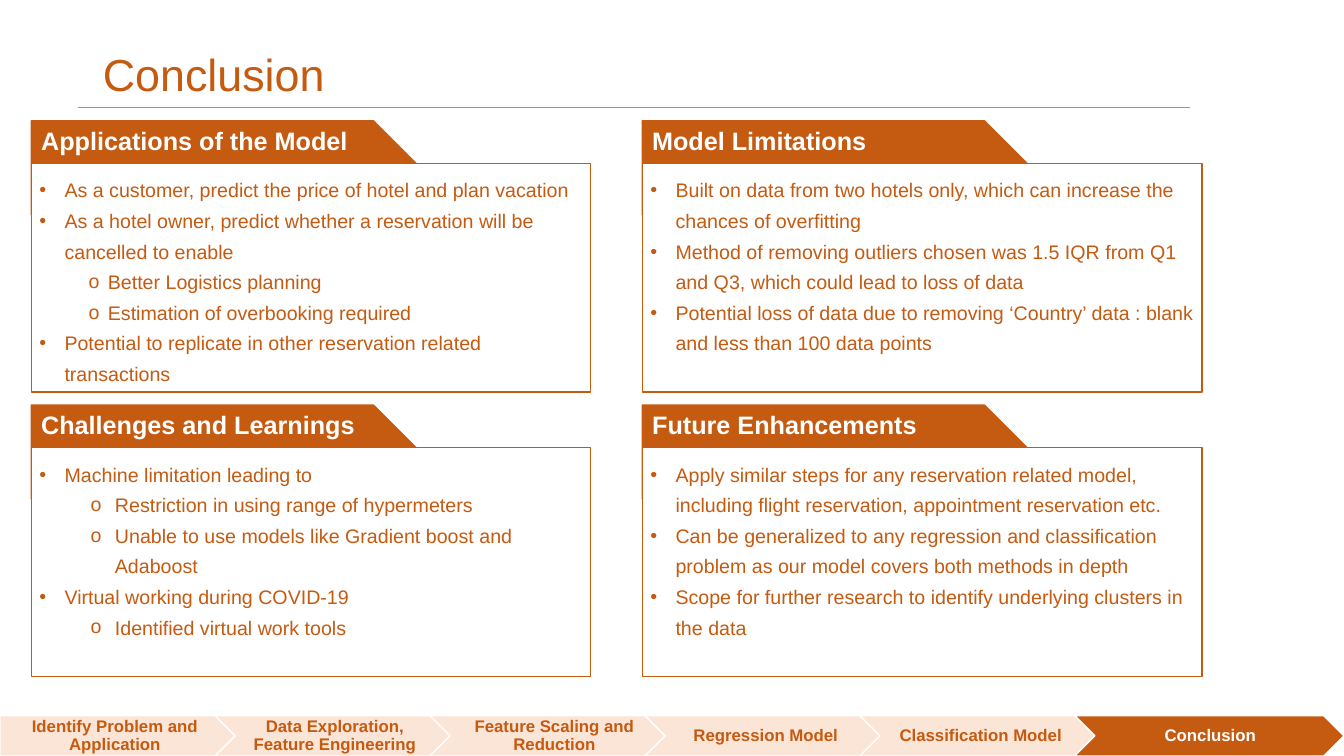
from lxml import etree
from pptx import Presentation
from pptx.dml.color import RGBColor
from pptx.enum.shapes import MSO_CONNECTOR, MSO_SHAPE
from pptx.enum.text import MSO_ANCHOR, PP_ALIGN
from pptx.oxml.ns import qn
from pptx.util import Inches, Pt

RUST = RGBColor(0xC5, 0x5A, 0x11)
ORANGE = RGBColor(0xED, 0x7D, 0x31)
PEACH = RGBColor(0xFB, 0xE5, 0xD6)
WHITE = RGBColor(0xFF, 0xFF, 0xFF)
STRAIGHT = MSO_CONNECTOR.STRAIGHT
RECT, PENTAGON, CHEVRON = MSO_SHAPE.RECTANGLE, MSO_SHAPE.PENTAGON, MSO_SHAPE.CHEVRON
TOP, MIDDLE = MSO_ANCHOR.TOP, MSO_ANCHOR.MIDDLE
LEFT, CENTER = PP_ALIGN.LEFT, PP_ALIGN.CENTER

TITLE_FONT = {"name": "Arial", "size": Pt(32), "bold": False}
HEADER_FONT = {"name": "Arial", "size": Pt(18), "bold": True}
BODY_FONT = {"name": "Arial", "size": Pt(14), "bold": False}
STEP_FONT = {"name": "Arial", "size": Pt(12), "bold": True}

PANELS = [
    ("Applications of the Model", (0.68, 0.19), [
        (0, "As a customer, predict the price of hotel and plan vacation"),
        (0, "As a hotel owner, predict whether a reservation will be cancelled to enable"),
        (1, "Better Logistics planning"),
        (1, "Estimation of overbooking required"),
        (0, "Potential to replicate in other reservation related transactions")]),
    ("Model Limitations", (0.75, 0.24), [
        (0, "Built on data from two hotels only, which can increase the chances of overfitting"),
        (0, "Method of removing outliers chosen was 1.5 IQR from Q1 and Q3, "
            "which could lead to loss of data"),
        (0, "Potential loss of data due to removing ‘Country’ data : blank "
            "and less than 100 data points")]),
    ("Challenges and Learnings", (0.75, 0.24), [
        (0, "Machine limitation leading to"),
        (1, "Restriction in using range of hypermeters"),
        (1, "Unable to use models like Gradient boost and Adaboost"),
        (0, "Virtual working during COVID-19"),
        (1, "Identified virtual work tools")]),
    ("Future Enhancements", (0.75, 0.24), [
        (0, "Apply similar steps for any reservation related model, "
            "including flight reservation, appointment reservation etc."),
        (0, "Can be generalized to any regression and classification problem "
            "as our model covers both methods in depth"),
        (0, "Scope for further research to identify underlying clusters in the data")]),
]
STEPS = [
    ("Identify Problem and\vApplication", 0.07, 0.35),
    ("Data Exploration,\vFeature Engineering", 0, 0.28),
    ("Feature Scaling and\vReduction", 0.05, 0.24),
    ("Regression Model", 0.05, 0.31),
    ("Classification Model", 0.05, 0.31),
    ("Conclusion", 0.05, 0.02),
]


def set_font(p, values, color):
    """Apply font values and a colour to every run of a paragraph."""
    for r in p.runs:
        for name, value in values.items():
            setattr(r.font, name, value)
        r.font.color.rgb = color


def set_frame(tf, anchor, left, top, right, bottom):
    """Set wrapping, anchor and insets of a text frame."""
    values = {"word_wrap": True, "vertical_anchor": anchor,
              "margin_left": Inches(left), "margin_top": Inches(top),
              "margin_right": Inches(right), "margin_bottom": Inches(bottom)}
    for name, value in values.items():
        setattr(tf, name, value)


def add_box(shapes, kind, x, y, w, h, fill, line):
    """Add a flat preset shape with a one-point outline."""
    sp = shapes.add_shape(kind, Inches(x), Inches(y), Inches(w), Inches(h))
    sp.shadow.inherit = False
    sp.fill.solid()
    sp.fill.fore_color.rgb = fill
    sp.line.color.rgb = line
    sp.line.width = Pt(1)
    return sp


def add_bullet(p, char, indent, hang):
    """Give a paragraph a bullet character and a hanging indent."""
    pPr = p._p.get_or_add_pPr()
    pPr.set("marL", str(Inches(indent)))
    pPr.set("indent", str(-Inches(hang)))
    etree.SubElement(pPr, qn("a:buFont")).set("typeface", "Arial")
    etree.SubElement(pPr, qn("a:buChar")).set("char", char)


def add_title(slide, x, y, w, h):
    """Place the title and the rule beneath it."""
    sp = slide.shapes.title
    sp.left, sp.top, sp.width, sp.height = map(Inches, (x, y, w, h))
    tf = sp.text_frame
    set_frame(tf, MIDDLE, 0.1, 0.05, 0.1, 0.05)
    p = tf.paragraphs[0]
    p.text = "Conclusion"
    p.alignment = LEFT
    set_font(p, TITLE_FONT, RUST)
    rule = slide.shapes.add_connector(STRAIGHT, Inches(x - 0.15), Inches(y + h),
                                      Inches(x + 10.88), Inches(y + h))
    rule.line.color.rgb = ORANGE
    rule.line.width = Pt(0.5)
    etree.SubElement(rule._element.spPr, qn("a:effectLst"))


def add_panel(slide, x, y, w, h, heading, sub_indent, items):
    """Place a tabbed heading with a bulleted box over its lower part."""
    tab_h = 0.42
    tab = add_box(slide.shapes, PENTAGON, x, y, 3.86, 0.93, RUST, RUST)
    tab.adjustments[0] = 0.9
    tab.adjustments[0] = 0.5
    set_frame(tab.text_frame, TOP, 0.1, 0.04, 0.1, 0.05)
    p = tab.text_frame.paragraphs[0]
    p.text = heading
    p.alignment = LEFT
    set_font(p, HEADER_FONT, WHITE)

    tf = add_box(slide.shapes, RECT, x, y + tab_h, w, h - tab_h, WHITE, RUST).text_frame
    set_frame(tf, TOP, 0.08, 0.08, 0.05, 0.08)
    for i, (level, text) in enumerate(items):
        p = tf.add_paragraph() if i else tf.paragraphs[0]
        p.text = text
        p.level = level
        p.alignment = LEFT
        p.line_spacing = 1.3
        add_bullet(p, "•o"[level], *(sub_indent if level else (0.25, 0.25)))
        set_font(p, BODY_FONT, RUST)


def add_steps(slide, x, y, w, h):
    """Place the row of overlapping process arrows with their labels."""
    shapes = slide.shapes.add_group_shape().shapes
    arrow_w = 2.67
    pitch = (w - arrow_w) / (len(STEPS) - 1)
    for i, (text, left, right) in enumerate(STEPS):
        current = i == len(STEPS) - 1
        arrow_x = x + i * pitch
        add_box(shapes, CHEVRON if i else PENTAGON, arrow_x, y, arrow_w, h,
                RUST if current else PEACH, WHITE)
        label_x, label_w = (arrow_x + 0.2, 2.26) if i else (arrow_x, 2.56)
        tf = shapes.add_textbox(Inches(label_x), Inches(y),
                                Inches(label_w), Inches(h)).text_frame
        set_frame(tf, MIDDLE, left, 0.04, right, 0.04)
        p = tf.paragraphs[0]
        p.text = text
        p.alignment = CENTER
        p.line_spacing = 0.9
        set_font(p, STEP_FONT, WHITE if current else RUST)


def main():
    """Build the conclusion slide and save it."""
    prs = Presentation()
    prs.slide_width, prs.slide_height = Inches(13.33), Inches(7.5)
    slide = prs.slides.add_slide(prs.slide_layouts[5])
    add_title(slide, 0.92, 0.4, 11.5, 0.67)
    for i, panel in enumerate(PANELS):
        row, col = divmod(i, 2)
        add_panel(slide, 0.31 + col * 6.06, 1.2 + row * 2.82, 5.55, 2.69, *panel)
    add_steps(slide, 0, 7.1, 13.33, 0.4)
    prs.save("out.pptx")


if __name__ == "__main__":
    main()
